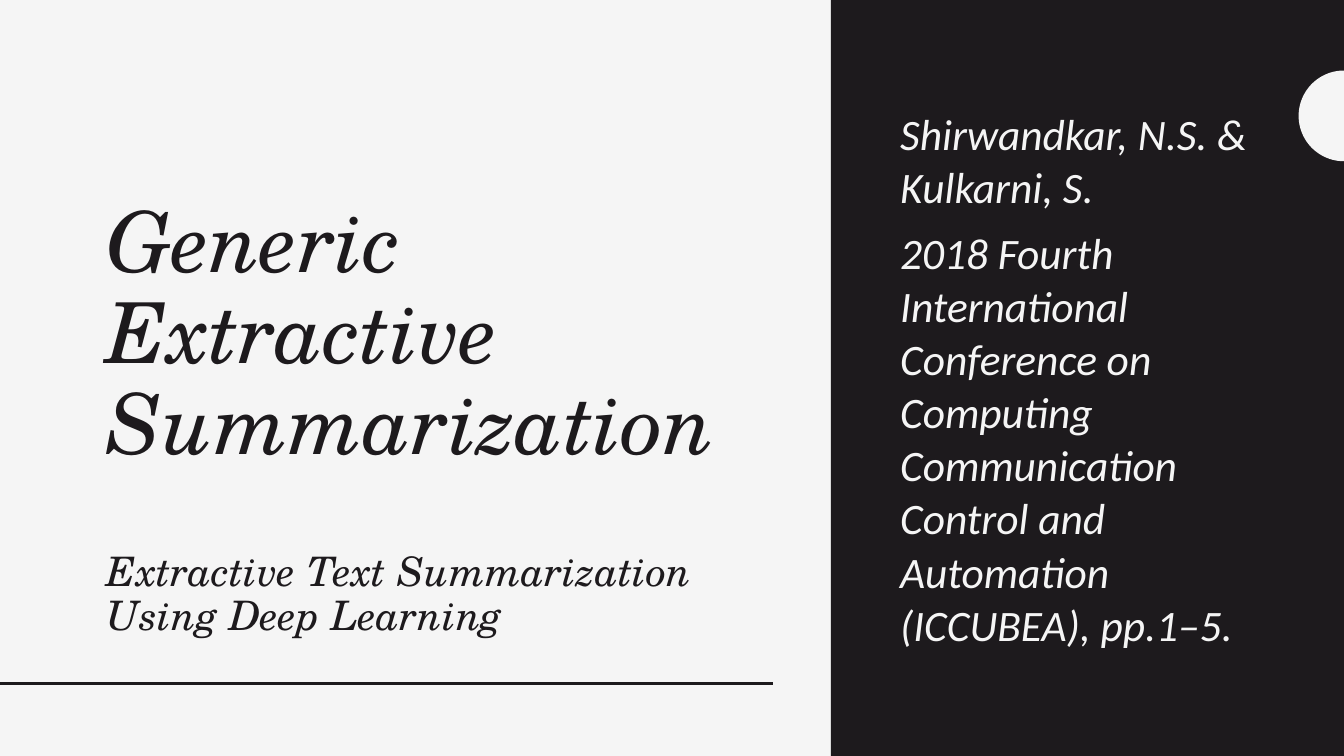
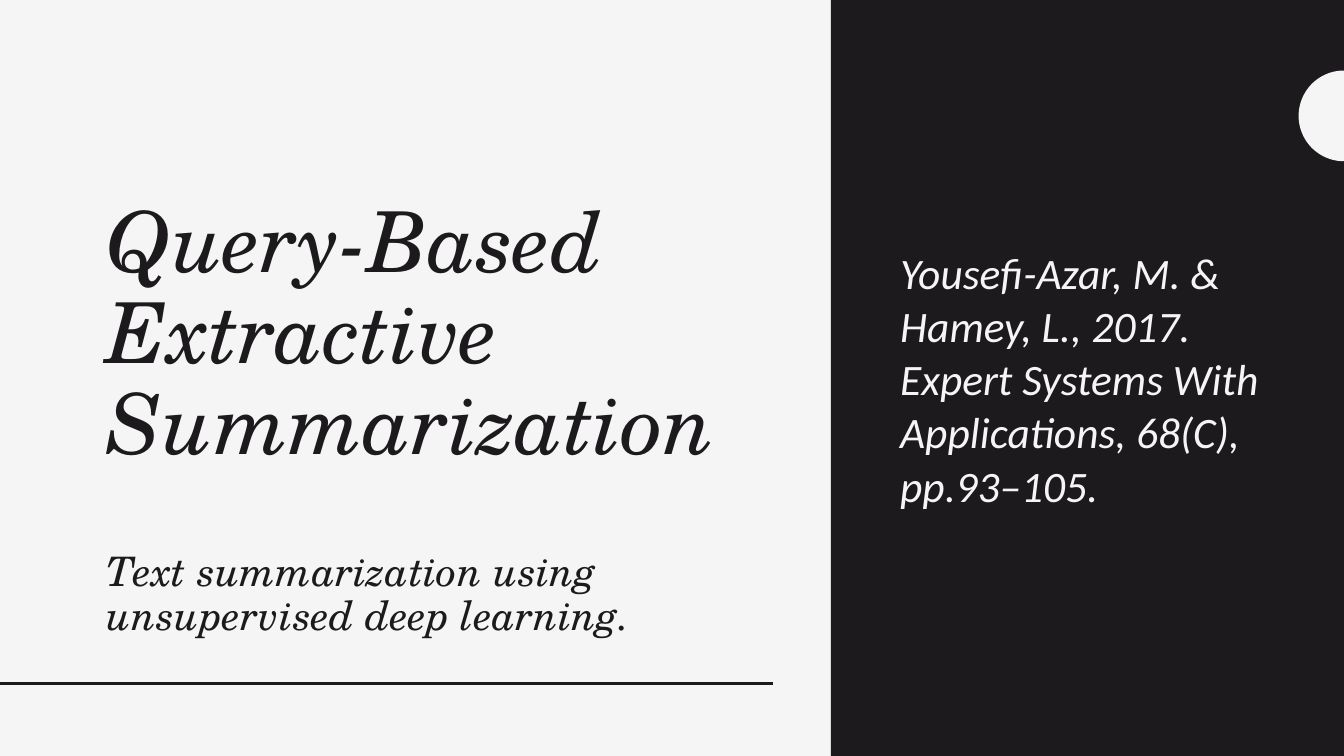
import math

from lxml import etree
from pptx import Presentation
from pptx.dml.color import RGBColor
from pptx.enum.shapes import MSO_CONNECTOR, MSO_SHAPE
from pptx.enum.text import MSO_ANCHOR
from pptx.oxml.ns import qn
from pptx.util import Inches, Pt

STRAIGHT = MSO_CONNECTOR.STRAIGHT
RECTANGLE = MSO_SHAPE.RECTANGLE
MIDDLE = MSO_ANCHOR.MIDDLE

# Shared style
COLOURS = {"light": "F5F5F5", "dark": "1D1A1D"}
HEADING_FONT = "TeX Gyre Schola"
BODY_FONT = "Calibri"
SLIDE_WIDTH, SLIDE_HEIGHT = 13.33, 7.5
PANEL_LEFT = 8.24

# Title ("\v" is a line break), subtitle and reference paragraphs of each slide
PAPERS = [
    (
        "Generic\vExtractive Summarization",
        "Extractive Text Summarization Using Deep Learning",
        [
            "Shirwandkar, N.S. & Kulkarni, S.",
            "2018 Fourth International Conference on Computing Communication "
            "Control and Automation (ICCUBEA), pp.1–5.",
        ],
    ),
    (
        "Query-Based\vExtractive Summarization",
        "Text summarization using unsupervised deep learning.",
        [
            "Yousefi-Azar, M. & Hamey, L., 2017. Expert Systems With "
            "Applications, 68(C), pp.93–105.",
        ],
    ),
]


def colour(name):
    return RGBColor.from_string(COLOURS[name])


def paint(shape, name):
    shape.shadow.inherit = False
    shape.fill.solid()
    shape.fill.fore_color.rgb = colour(name)
    shape.line.fill.background()


def add_panel(slide, left, colour_name):
    """Full-height panel from left to the right edge of the slide."""
    panel = slide.shapes.add_shape(
        RECTANGLE, Inches(left), 0,
        Inches(SLIDE_WIDTH - left), Inches(SLIDE_HEIGHT))
    paint(panel, colour_name)


def add_rule(slide, right, top):
    rule = slide.shapes.add_connector(
        STRAIGHT, 0, Inches(top), Inches(right), Inches(top))
    rule.line.color.rgb = colour("dark")
    rule.line.width = Pt(2)
    etree.SubElement(rule._element.spPr, qn("a:effectLst"))


def add_half_circle(slide, centre_y, radius, steps=48):
    """Left half of a circle centred on the right edge of the slide."""
    angles = [math.pi * (0.5 + step / steps) for step in range(steps + 1)]
    points = [(Inches(SLIDE_WIDTH + radius * math.cos(angle)),
               Inches(centre_y + radius * math.sin(angle)))
              for angle in angles]
    builder = slide.shapes.build_freeform(*points[0])
    builder.add_line_segments(points[1:], close=True)
    paint(builder.convert_to_shape(), "light")


def add_text(slide, box, texts, font, size, colour_name,
             line_spacing=0.9, before=0, after=0):
    shape = slide.shapes.add_textbox(*(Inches(length) for length in box))
    frame = shape.text_frame
    frame.word_wrap = True
    frame.vertical_anchor = MIDDLE
    for index, text in enumerate(texts):
        paragraph = frame.add_paragraph() if index else frame.paragraphs[0]
        paragraph.text = text
        paragraph.line_spacing = line_spacing
        paragraph.space_before = Pt(before)
        paragraph.space_after = Pt(after)
        paragraph.font.name = font
        paragraph.font.size = Pt(size)
        paragraph.font.italic = True
        paragraph.font.color.rgb = colour(colour_name)


def add_paper_slide(presentation, title, subtitle, reference):
    slide = presentation.slides.add_slide(presentation.slide_layouts[6])
    slide.background.fill.solid()
    slide.background.fill.fore_color.rgb = colour("dark")

    # Heading side
    add_panel(slide, 0, "light")
    add_text(slide, (0.96, 0.65, 6.71, 5.37), [title],
             HEADING_FONT, 60, "dark")
    add_rule(slide, 7.67, 6.78)

    # Reference side
    add_panel(slide, PANEL_LEFT, "dark")
    add_text(slide, (8.83, 0.7, 3.8, 6.1), reference,
             BODY_FONT, 31, "light", line_spacing=1.02, before=9)
    add_half_circle(slide, 1.15, 0.45)

    # Subtitle
    add_text(slide, (0.96, 5.39, 6.71, 1.04), [subtitle],
             HEADING_FONT, 29, "dark", after=6)


def main():
    presentation = Presentation()
    presentation.slide_width = Inches(SLIDE_WIDTH)
    presentation.slide_height = Inches(SLIDE_HEIGHT)
    for title, subtitle, reference in PAPERS:
        add_paper_slide(presentation, title, subtitle, reference)
    presentation.save("out.pptx")


if __name__ == "__main__":
    main()
